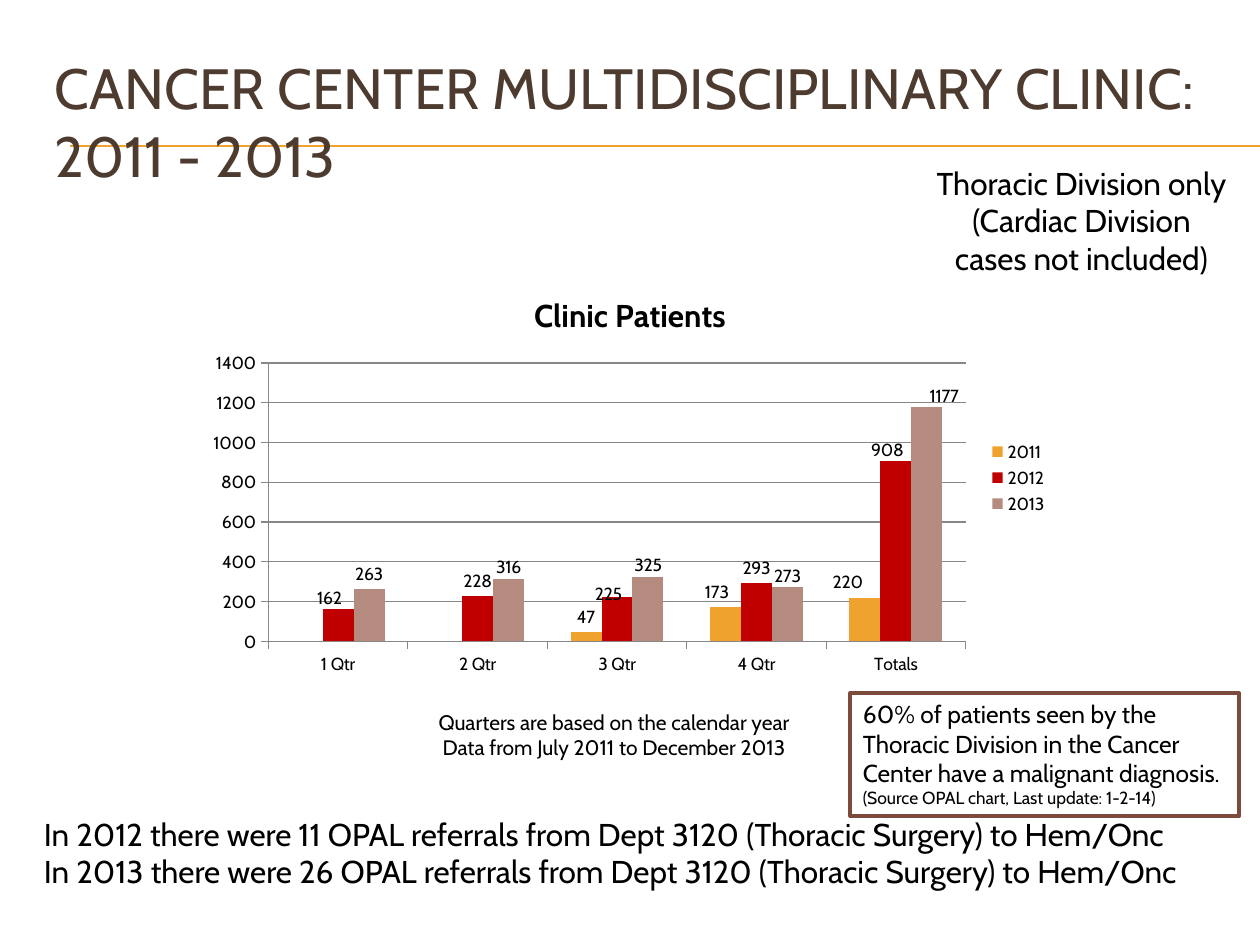
from typing import NamedTuple

from lxml import etree
from pptx import Presentation
from pptx import util as u
from pptx.chart.data import CategoryChartData
from pptx.dml.color import RGBColor
from pptx.enum import chart as ch
from pptx.enum import shapes, text
from pptx.oxml import parse_xml
from pptx.oxml.ns import nsdecls, qn

Pt = u.Pt
FONT = "Cabin"
BLACK = RGBColor(0x00, 0x00, 0x00)
BROWN = RGBColor(0x4E, 0x3B, 0x30)
RUST = RGBColor(0x7C, 0x4B, 0x3B)
GOLD = RGBColor(0xF0, 0xA2, 0x2E)
RED = RGBColor(0xC0, 0x00, 0x00)
ROSE = RGBColor(0xB5, 0x8B, 0x80)
GREY = RGBColor(0x87, 0x87, 0x87)
LEFT, MID = text.PP_ALIGN.LEFT, text.PP_ALIGN.CENTER


class Box(NamedTuple):
    x: float
    y: float
    w: float
    h: float

    def place(self) -> list[u.Length]:
        return [Pt(n) for n in self]


class Line(NamedTuple):
    words: str
    size: float


class Note(NamedTuple):
    box: Box
    lines: list[Line]
    align: text.PP_ALIGN = LEFT
    framed: bool = False


class Year(NamedTuple):
    name: str
    color: RGBColor
    counts: list[int | None]
    shifts: dict[int, tuple[float, float]]  # label moves, as parts of the chart


QUARTERS = ["1 Qtr", "2 Qtr", "3 Qtr", "4 Qtr", "Totals"]
YEARS = [
    Year("2011", GOLD, [None, None, 47, 173, 220],
         {3: (-0.01, 0), 4: (-0.02, 0)}),
    Year("2012", RED, [162, 228, 225, 293, 908],
         {0: (-0.01, 0.01), 2: (-0.01, 0.03), 4: (-0.01, 0.01)}),
    Year("2013", ROSE, [263, 316, 325, 273, 1177],
         {1: (0, 0.01), 2: (0, 0.01), 3: (0, 0.01), 4: (0.02, 0.01)}),
]
NOTES = [
    Note(Box(240, 402, 222, 36),
         [Line("Quarters are based on the calendar year", 12),
          Line("Data from July 2011 to December 2013", 12)], MID),
    Note(Box(18, 462, 666, 51),
         [Line(f"In {year} there were {count} OPAL referrals from Dept 3120 "
               "(Thoracic Surgery) to Hem/Onc", 18)
          for year, count in ((2012, 11), (2013, 26))]),
    Note(Box(486, 396, 222, 70.5),
         [Line("60% of patients seen by the Thoracic Division in the Cancer "
               "Center have a malignant diagnosis.", 14),
          Line("(Source OPAL chart, Last update: 1-2-14)", 10)], framed=True),
    Note(Box(528, 90, 180, 72.75),
         [Line("Thoracic Division only", 18),
          Line("(Cardiac Division cases not included)", 18)], MID),
]


def style(font, size: float, color: RGBColor = BLACK) -> None:
    font.name, font.size = FONT, Pt(size)
    font.color.rgb = color


def layout(x: float, y: float, extra: str = ""):
    return parse_xml(
        f'<c:layout {nsdecls("c")}><c:manualLayout>{extra}'
        f'<c:x val="{x}"/><c:y val="{y}"/></c:manualLayout></c:layout>')


def draw_rule(slide, y: float) -> None:
    rule = slide.shapes.add_connector(
        shapes.MSO_CONNECTOR.STRAIGHT, Pt(40), Pt(y), Pt(720), Pt(y))
    rule.line.color.rgb, rule.line.width = GOLD, Pt(0.75)
    etree.SubElement(rule._element.spPr, qn("a:effectLst"))
    # Rules lie behind the title
    slide.shapes.title._element.addprevious(rule._element)


def draw_title(slide, words: str) -> None:
    title = slide.shapes.title
    title.left, title.top, title.width, title.height = Box(24, 36, 684, 66).place()
    frame = title.text_frame
    frame.text = words
    frame.auto_size = text.MSO_AUTO_SIZE.NONE
    frame.vertical_anchor = text.MSO_ANCHOR.MIDDLE
    frame.paragraphs[0].alignment = LEFT
    style(frame.paragraphs[0].font, 32.4, BROWN)


def draw_note(slide, note: Note) -> None:
    if note.framed:
        shape = slide.shapes.add_shape(
            shapes.MSO_SHAPE.RECTANGLE, *note.box.place())
        shape.shadow.inherit = False
        shape.fill.background()
        shape.line.color.rgb, shape.line.width = RUST, Pt(2.25)
    else:
        shape = slide.shapes.add_textbox(*note.box.place())
    frame = shape.text_frame
    frame.word_wrap = True
    frame.vertical_anchor = text.MSO_ANCHOR.TOP
    frame.auto_size = text.MSO_AUTO_SIZE.SHAPE_TO_FIT_TEXT
    frame.text = "\n".join(line.words for line in note.lines)
    for para, line in zip(frame.paragraphs, note.lines):
        para.alignment = note.align
        style(para.font, line.size)


def draw_chart(slide, box: Box) -> None:
    data = CategoryChartData()
    data.categories = QUARTERS
    for year in YEARS:
        data.add_series(year.name, year.counts)
    chart = slide.shapes.add_chart(
        ch.XL_CHART_TYPE.COLUMN_CLUSTERED, *box.place(), data).chart
    style(chart.font, 10)

    # Title and legend
    chart.has_title = True
    head = chart.chart_title.text_frame
    head.text = "Clinic Patients"
    style(head.paragraphs[0].font, 18)
    head.paragraphs[0].font.bold = True
    chart.chart_title._element.find(qn("c:overlay")).set("val", "1")
    chart.has_legend = True
    chart.legend.position = ch.XL_LEGEND_POSITION.RIGHT
    chart.legend.include_in_layout = False

    # Axes and plot area
    for axis in (chart.category_axis, chart.value_axis):
        axis.major_tick_mark = ch.XL_TICK_MARK.OUTSIDE
        axis.minor_tick_mark = ch.XL_TICK_MARK.NONE
        axis.format.line.color.rgb = GREY
    grid = chart.value_axis.major_gridlines.format.line
    grid.color.rgb, grid.width = GREY, Pt(0.75)
    chart.value_axis.minimum_scale = 0
    chart.value_axis.maximum_scale = 1400
    chart.value_axis.major_unit = 200
    area = chart._chartSpace.find(".//" + qn("c:plotArea"))
    for old in area.findall(qn("c:layout")):
        area.remove(old)
    inner = layout(0.08, 0.22, '<c:layoutTarget val="inner"/>'
                   '<c:xMode val="edge"/><c:yMode val="edge"/>')
    for tag, size in (("c:w", 0.81), ("c:h", 0.68)):
        etree.SubElement(inner[0], qn(tag)).set("val", str(size))
    area.insert(0, inner)

    # Columns and their labels
    plot = chart.plots[0]
    plot.gap_width, plot.overlap = 150, 0
    plot.vary_by_categories = False
    for series, year in zip(plot.series, YEARS):
        series.format.fill.solid()
        series.format.fill.fore_color.rgb = year.color
        labels = series.data_labels
        labels.show_value = True
        labels.position = ch.XL_LABEL_POSITION.OUTSIDE_END
        style(labels.font, 10)
        for spot in year.shifts:
            label = series.points[spot].data_label
            label.position = ch.XL_LABEL_POSITION.OUTSIDE_END
        for item in series._element.iter(qn("c:dLbl")):
            mark = item.find(qn("c:idx"))
            mark.addnext(layout(*year.shifts[int(mark.get("val"))]))


def main() -> None:
    deck = Presentation()
    deck.slide_width, deck.slide_height = Pt(720), Pt(540)
    slide = deck.slides.add_slide(deck.slide_layouts[5])
    for y in (83, 83.5):
        draw_rule(slide, y)
    draw_title(slide, "CANCER CENTER MULTIDISCIPLINARY CLINIC: 2011 - 2013")
    draw_chart(slide, Box(114, 156, 492, 234))
    for note in NOTES:
        draw_note(slide, note)
    deck.save("out.pptx")


if __name__ == "__main__":
    main()
